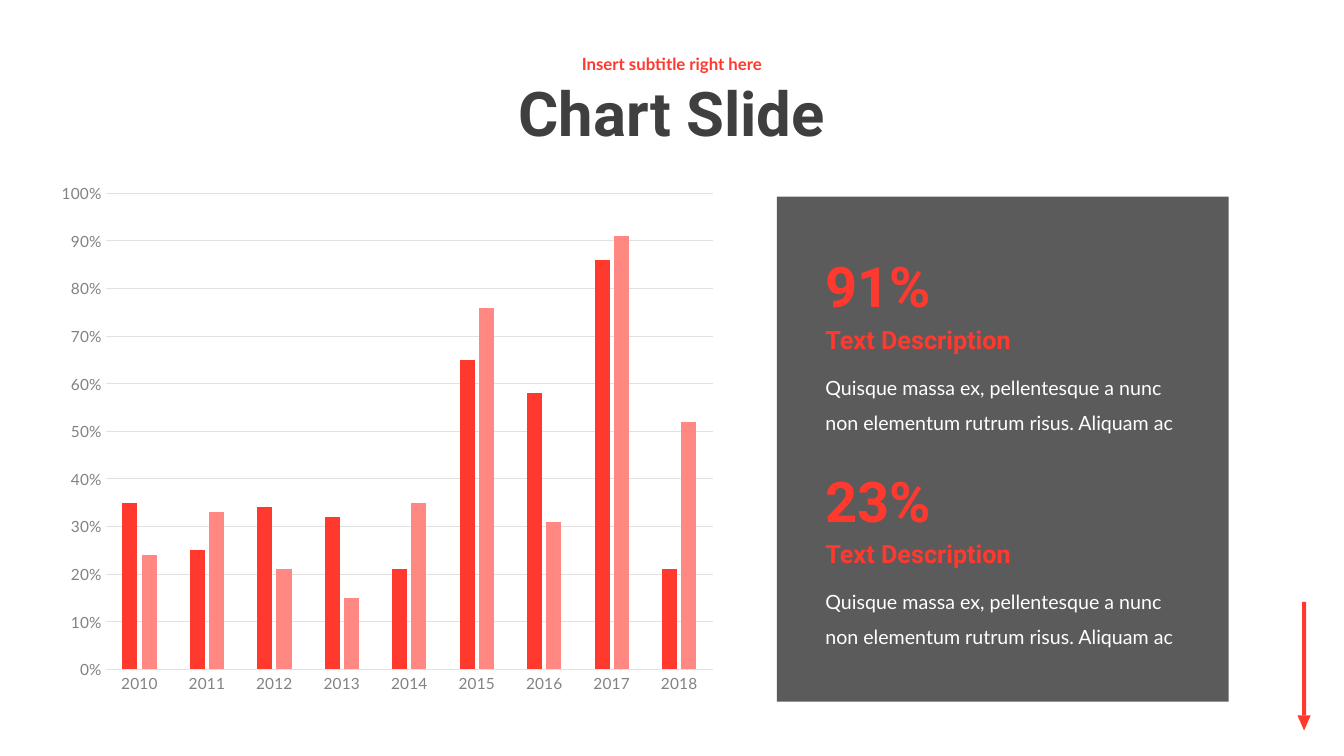
from lxml.etree import SubElement
from pptx import Presentation
from pptx.chart.data import CategoryChartData
from pptx.dml.color import RGBColor
from pptx.enum.chart import XL_CHART_TYPE, XL_TICK_MARK
from pptx.enum.shapes import MSO_SHAPE
from pptx.enum.text import MSO_ANCHOR, MSO_AUTO_SIZE, PP_ALIGN
from pptx.oxml import parse_xml
from pptx.oxml.ns import nsdecls, qn
from pptx.util import Pt

HUES = {"red": "FF392E", "pink": "FF8882", "dark": "3F3F3F",
        "gray": "828282", "grid": "E2E2E2", "white": "FFFFFF"}
FORMS = {
    "title": {"name": "Roboto", "size": Pt(44), "bold": True, "hue": "dark"},
    "sub": {"name": "Lato", "size": Pt(12), "bold": True, "hue": "red"},
    "stat": {"name": "Roboto", "size": Pt(40), "bold": True, "hue": "red"},
    "head": {"name": "Roboto", "size": Pt(18), "bold": True, "hue": "red"},
    "body": {"name": "Lato", "size": Pt(14), "bold": False, "hue": "white"},
    "axis": {"name": "Lato", "size": Pt(11), "bold": False, "hue": "gray"},
    "chart": {"name": "Lato", "size": Pt(11), "bold": False, "hue": "dark"},
}
CENTER = {"alignment": PP_ALIGN.CENTER, "line_spacing": 0.9}
MIDDLE = {"vertical_anchor": MSO_ANCHOR.MIDDLE}
GROW = {"auto_size": MSO_AUTO_SIZE.SHAPE_TO_FIT_TEXT}


def assign(item, values):
    for key, value in values.items():
        setattr(item, key, value)


class Painter:
    def __init__(self, slide, hues, forms):
        self.slide = slide
        self.hues = hues
        self.forms = forms

    def color(self, name):
        return RGBColor.from_string(self.hues[name])

    def paint(self, fill, name):
        fill.solid()
        fill.fore_color.rgb = self.color(name)

    def font(self, font, form):
        values = dict(self.forms[form])
        font.color.rgb = self.color(values.pop("hue"))
        assign(font, values)

    def shape(self, kind, area, hue, turn=0, alpha=None):
        shape = self.slide.shapes.add_shape(kind, *map(Pt, area))
        shape.shadow.inherit = False
        shape.rotation = turn
        self.paint(shape.fill, hue)
        shape.line.fill.background()
        if alpha:
            tint = shape.element.spPr.find(".//" + qn("a:srgbClr"))
            SubElement(tint, qn("a:alpha"), val=str(alpha * 1000))

    def text(self, words, area, form, para, frame):
        box = self.slide.shapes.add_textbox(*map(Pt, area)).text_frame
        assign(box, {"word_wrap": True, **frame})
        line = box.paragraphs[0]
        assign(line, para)
        run = line.add_run()
        run.text = words
        self.font(run.font, form)

    def axis(self, axis):
        assign(axis, {"major_tick_mark": XL_TICK_MARK.NONE,
                      "minor_tick_mark": XL_TICK_MARK.NONE})
        self.font(axis.tick_labels.font, "axis")

    def stroke(self, line):
        self.paint(line.fill, "grid")
        line.width = Pt(0.75)

    def chart(self, area, names, series, plot):
        data = CategoryChartData(number_format="0%")
        data.categories = names
        for label, values, hue in series:
            data.add_series(label, values)
        chart = self.slide.shapes.add_chart(
            XL_CHART_TYPE.COLUMN_CLUSTERED, *map(Pt, area), data).chart
        assign(chart, {"has_legend": False, "has_title": False})
        self.font(chart.font, "chart")
        bars = chart.plots[0]
        assign(bars, {"gap_width": 219, "overlap": -27,
                      "vary_by_categories": False})
        for bar, (label, values, hue) in zip(bars.series, series):
            self.paint(bar.format.fill, hue)
        years, scale = chart.category_axis, chart.value_axis
        self.axis(years)
        self.axis(scale)
        self.stroke(years.format.line)
        scale.format.line.fill.background()
        assign(scale, {"minimum_scale": 0, "maximum_scale": 1,
                       "major_unit": 0.1, "has_major_gridlines": True})
        self.stroke(scale.major_gridlines.format.line)
        assign(scale.tick_labels, {"number_format": "0%",
                                   "number_format_is_linked": False})
        self.place(chart, plot)

    def place(self, chart, plot):
        zone = chart.element.find(".//" + qn("c:plotArea"))
        for old in zone.findall(qn("c:layout")):
            zone.remove(old)
        rules = {"layoutTarget": "inner", "xMode": "edge", "yMode": "edge",
                 **dict(zip("xywh", plot))}
        tags = "".join(f'<c:{key} val="{val}"/>' for key, val in rules.items())
        zone.insert(0, parse_xml(
            f'<c:layout {nsdecls("c")}><c:manualLayout>{tags}'
            '</c:manualLayout></c:layout>'))


def main():
    deck = Presentation()
    deck.slide_width, deck.slide_height = Pt(960), Pt(540)
    slide = deck.slides.add_slide(deck.slide_layouts[6])
    art = Painter(slide, HUES, FORMS)

    art.shape(MSO_SHAPE.RECTANGLE, (930.2, 430, 2.9, 81), "red")
    art.shape(MSO_SHAPE.ISOSCELES_TRIANGLE, (926.8, 511, 9.4, 10.8), "red", 180)
    art.shape(MSO_SHAPE.RECTANGLE, (555, 140.4, 322.6, 360.7), "dark", alpha=85)
    art.text("Chart Slide", (210, 46, 540, 74), "title", CENTER, MIDDLE)
    art.text("Insert subtitle right here", (210, 32.6, 540, 27.4),
             "sub", CENTER, MIDDLE)

    series = (
        ("Series 1", (0.35, 0.25, 0.34, 0.32, 0.21, 0.65, 0.58, 0.86, 0.21), "red"),
        ("Series 2", (0.24, 0.33, 0.21, 0.15, 0.35, 0.76, 0.31, 0.91, 0.52), "pink"),
    )
    art.chart((31.7, 130.3, 487.4, 386.6), [str(y) for y in range(2010, 2019)],
              series, (0.09, 0.02, 0.89, 0.88))

    left, top, step = 582.5, 176.4, 153
    body = "Quisque massa ex, pellentesque a nunc non elementum rutrum risus. Aliquam ac"
    for row, stat in enumerate(("91%", "23%")):
        y = top + row * step
        art.text(stat, (left, y, 155, 55.4), "stat", {}, GROW)
        art.text(body, (left, y + 80, 268, 55.4), "body",
                 {"line_spacing": 1.5}, GROW)
        art.text("Text Description", (left, y + 51.6, 210, 29), "head", {}, GROW)

    deck.save("out.pptx")


if __name__ == "__main__":
    main()
